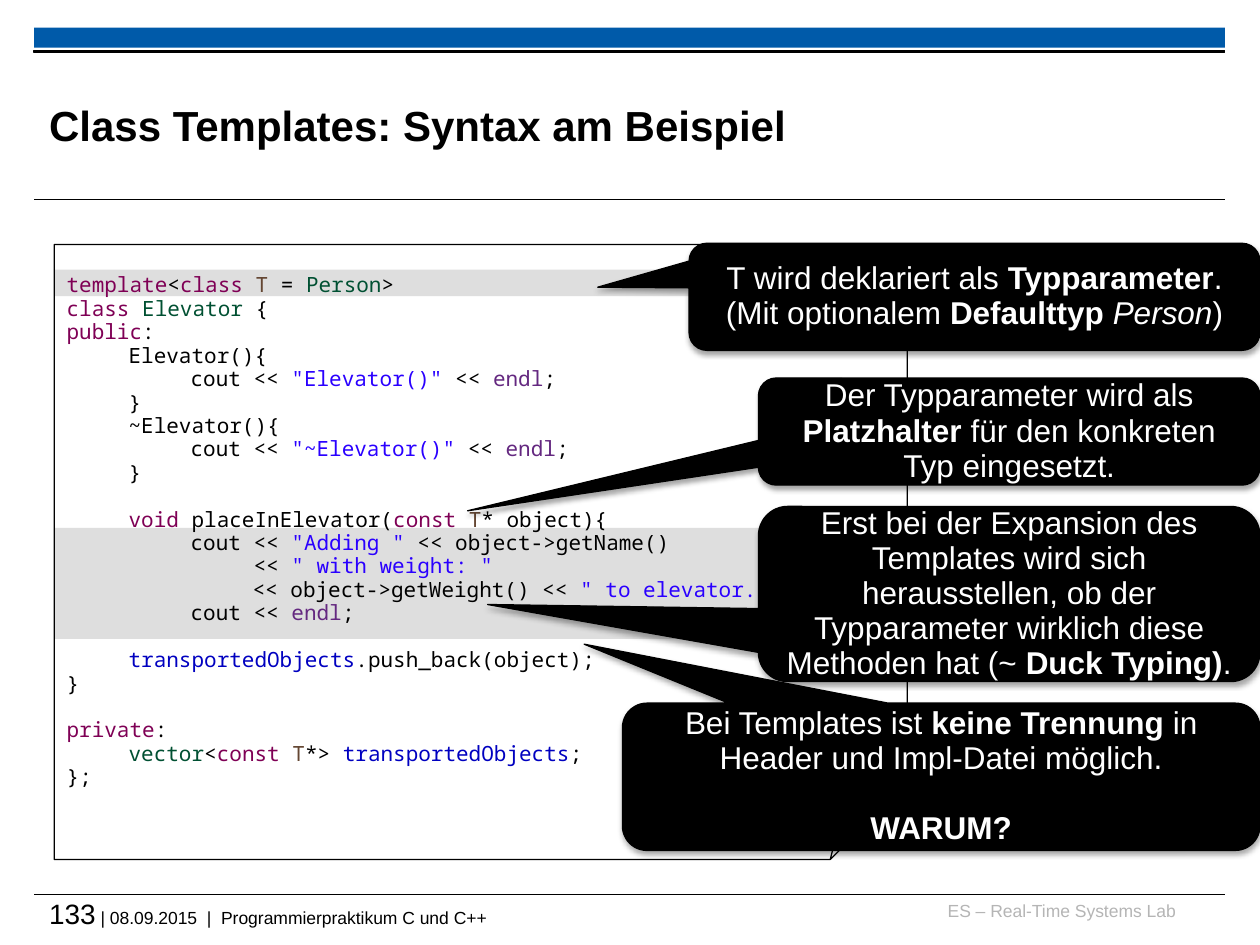
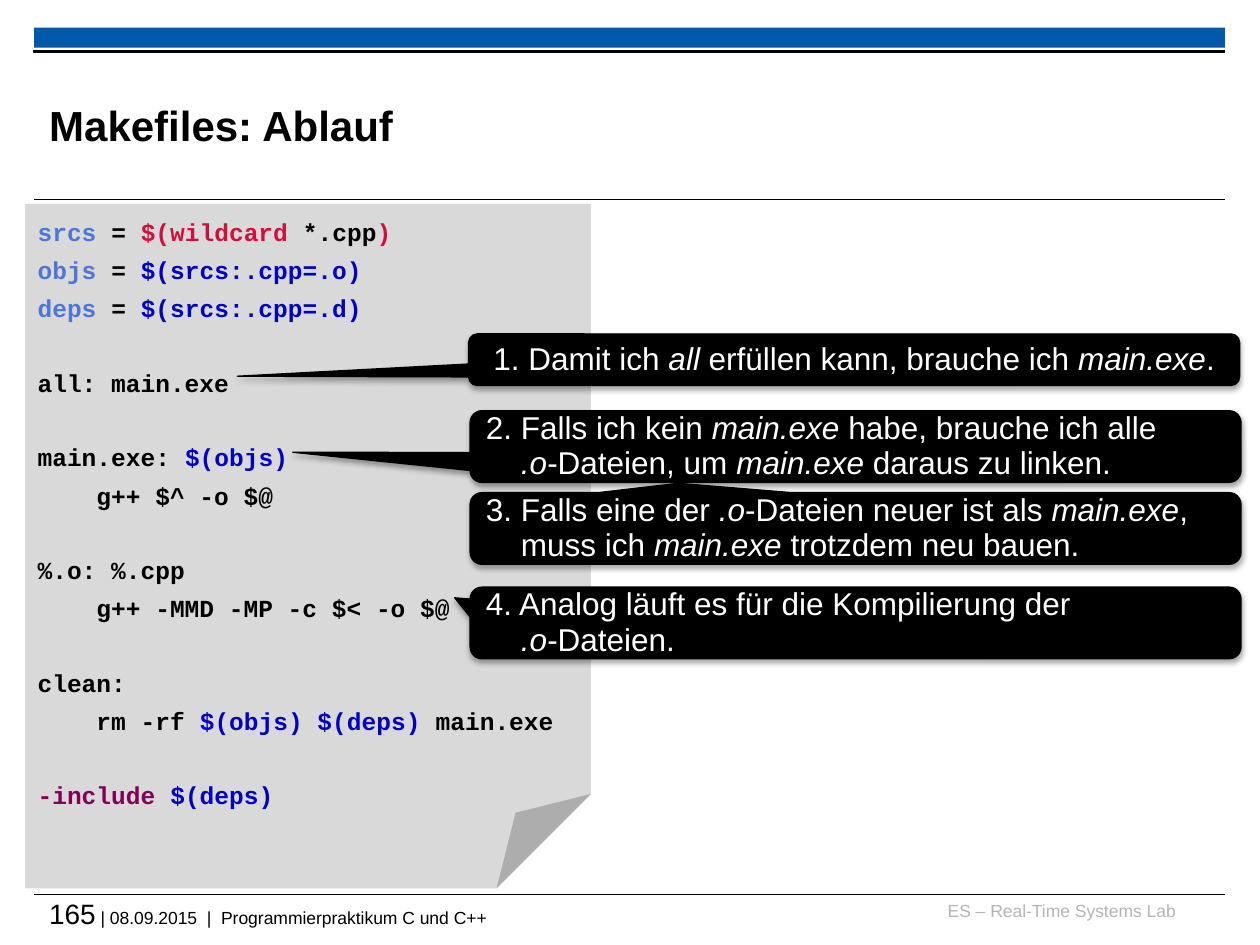
from dataclasses import dataclass
from functools import partial
from typing import NamedTuple, Optional

from lxml import etree
from pptx import Presentation
from pptx.dml.color import RGBColor
from pptx.enum.shapes import MSO_CONNECTOR, MSO_SHAPE
from pptx.enum.text import MSO_ANCHOR, PP_ALIGN
from pptx.oxml.ns import qn
from pptx.util import Pt

RECT, FOLDED = MSO_SHAPE.RECTANGLE, MSO_SHAPE.FOLDED_CORNER
CALLOUT = MSO_SHAPE.ROUNDED_RECTANGULAR_CALLOUT
STRAIGHT = MSO_CONNECTOR.STRAIGHT
TOP, MIDDLE = MSO_ANCHOR.TOP, MSO_ANCHOR.MIDDLE
LEFT, CENTER, RIGHT = PP_ALIGN.LEFT, PP_ALIGN.CENTER, PP_ALIGN.RIGHT

BLACK, WHITE = RGBColor(0x00, 0x00, 0x00), RGBColor(0xFF, 0xFF, 0xFF)
BAND_BLUE = RGBColor(0x00, 0x5A, 0xA9)
LAB_GRAY = RGBColor(0xB5, 0xB5, 0xB5)
MARK_GRAY = RGBColor(0xBF, 0xBF, 0xBF)
PAPER_GRAY = RGBColor(0xD9, 0xD9, 0xD9)
KEYWORD = RGBColor(0x7F, 0x00, 0x55)
PARAM = RGBColor(0x64, 0x46, 0x32)
TYPE = RGBColor(0x00, 0x50, 0x32)
STRING = RGBColor(0x2A, 0x00, 0xFF)
MACRO = RGBColor(0x64, 0x28, 0x80)
FIELD = RGBColor(0x00, 0x00, 0xC0)
VARIABLE = RGBColor(0x4E, 0x76, 0xD6)
FUNCTION = RGBColor(0xD0, 0x0F, 0x3F)

SANS, CPP_FONT, MAKE_FONT = "Arial", "Noto Sans Mono", "Courier New"
EDGE_LEFT, EDGE_WIDTH = 19.5, 680.4
TAB, HANG = 35.43, 20


class Box(NamedTuple):
    left: float
    top: float
    width: float
    height: float


class Run(NamedTuple):
    text: str
    color: RGBColor = BLACK
    bold: bool = False
    italic: bool = False


class CodeStyle(NamedTuple):
    font: str
    size: float
    bold: bool
    spacing: float
    before: float
    pitch: float


@dataclass
class Callout:
    box: Box
    tip: tuple[float, float]
    paragraphs: list[list[Run]]
    align: PP_ALIGN = CENTER
    gap: float = 0


CPP = CodeStyle(CPP_FONT, 12, False, 0.93, 0, 13.4)
MAKE = CodeStyle(MAKE_FONT, 14, True, 1.07, 3.8, 20.8)
BREAK = Run("\n")
w = partial(Run, color=WHITE)
b = partial(w, bold=True)
i = partial(w, italic=True)


def add_run(p, run: Run, font: str, size: float) -> None:
    if run == BREAK:
        p.add_line_break()
        return
    r = p.add_run()
    r.text = run.text
    r.font.name, r.font.size = font, Pt(size)
    r.font.bold, r.font.italic = run.bold, run.italic
    r.font.color.rgb = run.color


def set_frame(tf, anchor: MSO_ANCHOR, margin: Optional[float] = None) -> None:
    tf.word_wrap = True
    tf.vertical_anchor = anchor
    if margin is not None:
        tf.margin_left = tf.margin_top = tf.margin_right = tf.margin_bottom = Pt(margin)


def add_box(s, kind: MSO_SHAPE, box: Box, fill: Optional[RGBColor], line: Optional[RGBColor] = None):
    sp = s.shapes.add_shape(kind, *map(Pt, box))
    sp.shadow.inherit = False
    sp.line.width = Pt(0.75)
    for paint, color in ((sp.fill, fill), (sp.line.fill, line)):
        if color is None:
            paint.background()
        else:
            paint.solid()
            paint.fore_color.rgb = color
    return sp


def add_rule(s, y: float) -> None:
    rule = s.shapes.add_connector(STRAIGHT, Pt(EDGE_LEFT), Pt(y), Pt(EDGE_LEFT + EDGE_WIDTH), Pt(y))
    rule.line.color.rgb = BLACK
    rule.line.width = Pt(0.6)
    etree.SubElement(rule._element.spPr, qn("a:effectLst"))


def add_label(s, box: Box, align: PP_ALIGN, *parts: tuple[Run, float]) -> None:
    tf = s.shapes.add_textbox(*map(Pt, box)).text_frame
    set_frame(tf, TOP, 0)
    p = tf.paragraphs[0]
    p.alignment = align
    for run, size in parts:
        add_run(p, run, SANS, size)


def new_slide(prs, title: str, number: int):
    s = prs.slides.add_slide(prs.slide_layouts[5])
    add_rule(s, 511)
    add_box(s, RECT, Box(EDGE_LEFT, 15.8, EDGE_WIDTH, 11.5), BAND_BLUE)
    add_rule(s, 114.2)
    add_box(s, RECT, Box(EDGE_LEFT, 28.8, EDGE_WIDTH, 1.2), BLACK, BLACK)
    add_label(s, Box(530, 514, 141.8, 18), RIGHT, (Run("ES – Real-Time Systems Lab", LAB_GRAY), 10))
    add_label(s, Box(28.1, 512.6, 671.8, 23.8), LEFT, (Run(str(number)), 16),
              (Run(" | 08.09.2015  |  Programmierpraktikum C und C++"), 10))
    sp = s.shapes.title
    sp.left, sp.top, sp.width, sp.height = map(Pt, Box(28.1, 38.2, 541.4, 66.2))
    set_frame(sp.text_frame, MIDDLE, 0)
    p = sp.text_frame.paragraphs[0]
    p.alignment = LEFT
    add_run(p, Run(title, bold=True), SANS, 24)
    return s


def write_code(tf, lines: list[Optional[list[Run]]], style: CodeStyle) -> None:
    p, gap = None, 0.0
    for line in lines:
        if line is None:
            gap += style.pitch
            continue
        first = p is None
        p = tf.paragraphs[0] if first else tf.add_paragraph()
        tabs = etree.SubElement(p._p.get_or_add_pPr(), qn("a:tabLst"))
        for n in (1, 2, 3):
            etree.SubElement(tabs, qn("a:tab"), pos=str(Pt(TAB * n)), algn="l")
        p.alignment = LEFT
        p.line_spacing = style.spacing
        p.space_before = Pt(0 if first else style.before + gap)
        gap = 0.0
        for run in line:
            add_run(p, run._replace(bold=style.bold), style.font, style.size)


def add_callout(s, c: Callout) -> None:
    sp = add_box(s, CALLOUT, c.box, BLACK, BLACK)
    sp.adjustments[0], sp.adjustments[1] = c.tip
    effects = sp._element.spPr.find(qn("a:effectLst"))
    shadow = etree.SubElement(effects, qn("a:outerShdw"), blurRad=str(Pt(3.1)), dist=str(Pt(1.8)),
                              dir="5400000", rotWithShape="0")
    color = etree.SubElement(shadow, qn("a:srgbClr"), val=str(BLACK))
    etree.SubElement(color, qn("a:alpha"), val="35000")
    tf = sp.text_frame
    set_frame(tf, MIDDLE)
    for n, runs in enumerate(c.paragraphs):
        p = tf.add_paragraph() if n else tf.paragraphs[0]
        p.alignment = c.align
        p.line_spacing = 0.93
        p.space_before = Pt(c.gap if n else 0)
        if c.align == LEFT:
            pPr = p._p.get_or_add_pPr()
            pPr.set("marL", str(Pt(HANG)))
            pPr.set("indent", str(-Pt(HANG)))
        for run in runs:
            add_run(p, run, SANS, 18)


def output_line(text: str) -> list[Run]:
    return [Run("\t\tcout << "), Run(text, STRING), Run(" << "), Run("endl", MACRO), Run(";")]


def templates_slide(prs) -> None:
    s = new_slide(prs, "Class Templates: Syntax am Beispiel", 133)
    for top, height in ((301.7, 63.4), (154.1, 15.1)):
        mark = add_box(s, RECT, Box(31, top, 408.2, height), MARK_GRAY)
        color = mark._element.spPr.find(qn("a:solidFill"))[0]
        etree.SubElement(color, qn("a:alpha"), val="50000")
    code = add_box(s, FOLDED, Box(31, 139.7, 487.4, 351.4), None, BLACK)
    guides = code._element.spPr.find(qn("a:prstGeom")).find(qn("a:avLst"))
    etree.SubElement(guides, qn("a:gd"), name="adj", fmla="val 12500")
    set_frame(code.text_frame, TOP)
    code.text_frame.margin_top = Pt(17)
    write_code(code.text_frame, [
        [Run("template", KEYWORD), Run("<"), Run("class ", KEYWORD), Run("T", PARAM), Run(" = "),
         Run("Person", TYPE), Run(">")],
        [Run("class ", KEYWORD), Run("Elevator", TYPE), Run(" {")],
        [Run("public", KEYWORD), Run(":")],
        [Run("\tElevator(){")], output_line('"Elevator()"'), [Run("\t}")],
        [Run("\t~Elevator(){")], output_line('"~Elevator()"'), [Run("\t}")], None,
        [Run("\tvoid ", KEYWORD), Run("placeInElevator("), Run("const ", KEYWORD), Run("T", PARAM),
         Run("* object){")],
        [Run("\t\tcout << "), Run('"Adding "', STRING), Run(" << object->getName()")],
        [Run("\t\t     << "), Run('" with weight: "', STRING)],
        [Run(" \t\t\t<< object->getWeight() << "), Run('" to elevator."', STRING), Run(";")],
        [Run("\t\tcout << "), Run("endl", MACRO), Run(";")], None,
        [Run("\ttransportedObjects", FIELD), Run(".push_back(object);")],
        [Run("}")], None,
        [Run("private", KEYWORD), Run(":")],
        [Run("\tvector", TYPE), Run("<"), Run("const ", KEYWORD), Run("T", PARAM), Run("*> "),
         Run("transportedObjects", FIELD), Run(";")],
        [Run("};")],
    ], CPP)
    for c in (
        Callout(Box(393.8, 139, 326.2, 61.2), (-0.66, -0.09),
                [[w("T wird deklariert als "), b("Typparameter"), w(".")],
                 [w("(Mit optionalem "), b("Defaulttyp "), i("Person"), w(")")]]),
        Callout(Box(355.7, 401.8, 364.3, 84.2), (-0.56, -0.9),
                [[w("Bei Templates ist "), b("keine Trennung "), w("in Header und Impl-Datei möglich.")],
                 [b("WARUM?")]], gap=20),
        Callout(Box(433.4, 216, 286.6, 61.2), (-1.08, 0.74),
                [[w("Der Typparameter wird als "), b("Platzhalter "),
                  w("für den konkreten Typ eingesetzt.")]]),
        Callout(Box(433.4, 289.4, 286.6, 100.1), (-1.04, 0.06),
                [[w("Erst bei der Expansion des Templates wird sich herausstellen, ob der "
                    "Typparameter wirklich diese Methoden hat (~ "), b("Duck Typing)"), w(".")]]),
    ):
        add_callout(s, c)


def makefiles_slide(prs) -> None:
    s = new_slide(prs, "Makefiles: Ablauf", 165)
    add_box(s, FOLDED, Box(14.4, 116.6, 323.3, 391), PAPER_GRAY)
    tf = s.shapes.add_textbox(*map(Pt, Box(14.4, 116.6, 311, 391))).text_frame
    set_frame(tf, TOP)
    tf.margin_top = Pt(6.4)
    write_code(tf, [
        [Run("srcs ", VARIABLE), Run("= "), Run("$(wildcard", FUNCTION), Run(" *.cpp"), Run(")", FUNCTION)],
        [Run("objs ", VARIABLE), Run("= "), Run("$(srcs:.cpp=.o)", FIELD)],
        [Run("deps ", VARIABLE), Run("= "), Run("$(srcs:.cpp=.d)", FIELD)], None,
        [Run("all: main.exe")], None,
        [Run("main.exe: "), Run("$(objs)", FIELD)],
        [Run("    g++ $^ -o $@")], None,
        [Run("%.o: %.cpp")],
        [Run("    g++ -MMD -MP -c $< -o $@")], None,
        [Run("clean:")],
        [Run("    rm -rf "), Run("$(objs) $(deps)", FIELD), Run(" main.exe")], None,
        [Run("-include ", KEYWORD), Run("$(deps)", FIELD)],
    ], MAKE)
    add_callout(s, Callout(Box(267.8, 190.8, 440.6, 29.5), (-0.8, 0.32),
                           [[w("1. Damit ich "), i("all"), w(" erfüllen kann, brauche ich "),
                             i("main.exe"), w(".")]]))
    for top, tip, runs in (
        (234.7, (-0.73, 0.08), [w("2. Falls ich kein "), i("main.exe "), w("habe, brauche ich alle"), BREAK,
                                i(".o"), w("-Dateien, um "), i("main.exe"), w(" daraus zu linken.")]),
        (281.5, (-0.23, -0.63), [w("3. Falls eine der "), i(".o"), w("-Dateien neuer ist als "), i("main.exe"),
                                 w(","), BREAK, w("muss ich "), i("main.exe"), w(" trotzdem neu bauen.")]),
        (335.5, (-0.52, -0.35), [w("4. Analog läuft es für die Kompilierung der"), BREAK,
                                 i(".o"), w("-Dateien.")]),
    ):
        add_callout(s, Callout(Box(268.6, top, 440.6, 41), tip, [runs], LEFT))


def main() -> None:
    prs = Presentation()
    prs.slide_width, prs.slide_height = Pt(720), Pt(540)
    templates_slide(prs)
    makefiles_slide(prs)
    prs.save("out.pptx")


if __name__ == "__main__":
    main()
